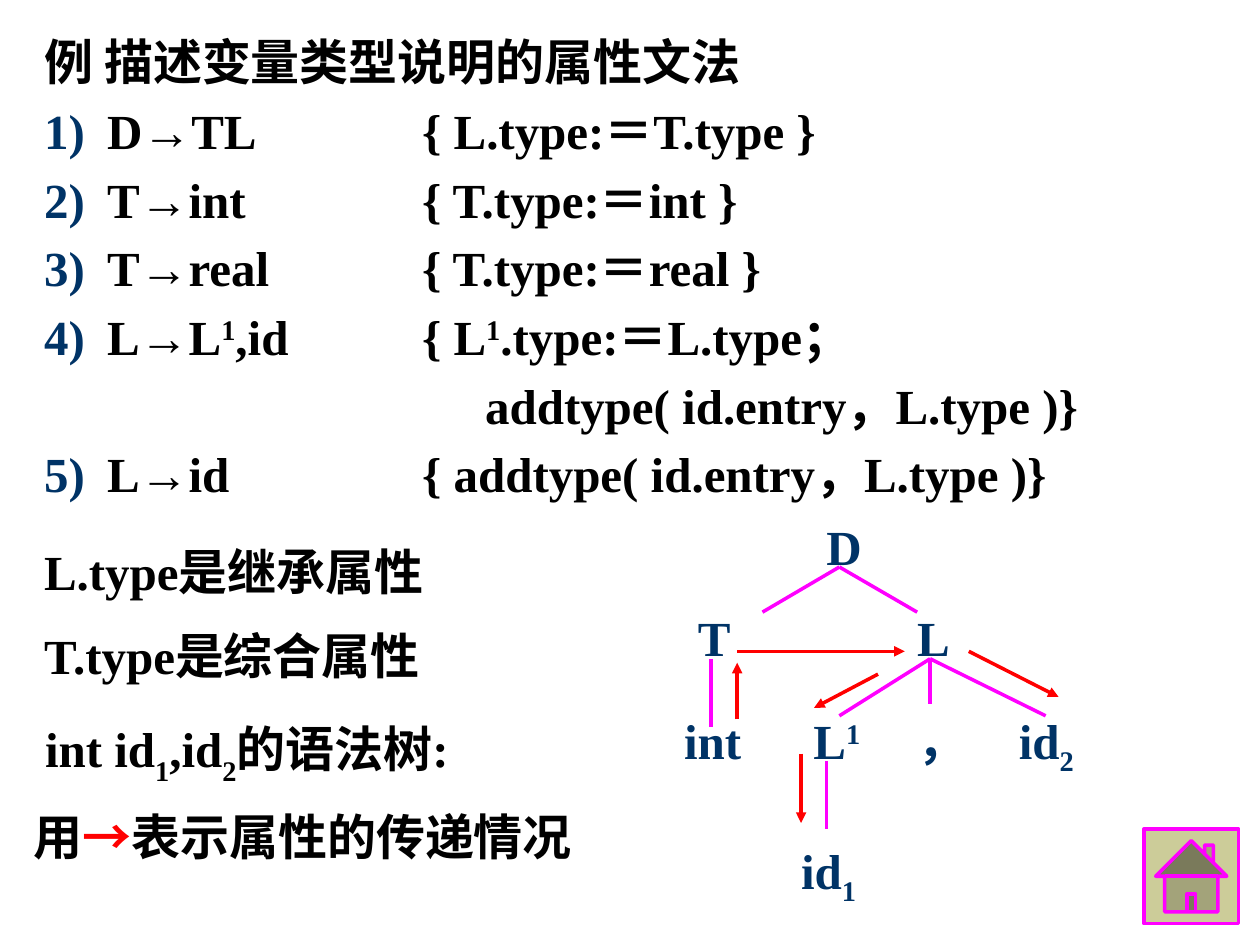
import pptx
import pptx.dml.color
import pptx.enum.shapes
import pptx.enum.text
import pptx.oxml.ns
import pptx.util
from lxml import etree
from pptx.util import Cm

INK = "000000"
NAVY = "003366"
MAGENTA = "FF00FF"
RED = "FF0000"
SAND = "CCCC99"


def colour(code):
    return pptx.dml.color.RGBColor.from_string(code)


def add_element(parent, tag, **attributes):
    return etree.SubElement(parent, pptx.oxml.ns.qn(tag), attributes)


class Board:
    font_name = "Times New Roman"
    font_size = 28
    line_width = 2

    def __init__(self, page):
        self.page = page

    def text_box(self, left, top, width, height, wrap=True):
        box = self.page.shapes.add_textbox(Cm(left), Cm(top), Cm(width), Cm(height))
        box.text_frame.word_wrap = wrap
        box.text_frame.auto_size = pptx.enum.text.MSO_AUTO_SIZE.SHAPE_TO_FIT_TEXT
        return box.text_frame

    def paragraph(self, frame, spans, code=INK, before=0, margin=0, hanging=0,
                  number=None, justify=False):
        para = frame.paragraphs[0]
        if para.runs:
            para = frame.add_paragraph()
            para.space_before = pptx.util.Pt(self.font_size * before)
        if justify:
            para.alignment = pptx.enum.text.PP_ALIGN.JUSTIFY
        properties = para._p.get_or_add_pPr()
        properties.set("marL", str(Cm(margin)))
        properties.set("indent", str(-Cm(hanging)))
        properties.set("defTabSz", str(Cm(2.54)))
        if number:
            add_element(add_element(properties, "a:buClr"), "a:srgbClr", val=NAVY)
            add_element(properties, "a:buAutoNum", type="arabicParenR", startAt=str(number))
        para.font.name = self.font_name
        para.font.size = pptx.util.Pt(self.font_size)
        para.font.bold = True
        para.font.color.rgb = colour(code)
        for text, baseline, span_code in spans:
            span = para.add_run()
            span.text = text
            if baseline:
                span._r.get_or_add_rPr().set("baseline", str(baseline * 1000))
            if span_code:
                span.font.color.rgb = colour(span_code)
        return para

    def line(self, start, end, code, arrow=False):
        line = self.page.shapes.add_connector(
            pptx.enum.shapes.MSO_CONNECTOR.STRAIGHT,
            Cm(start[0]), Cm(start[1]), Cm(end[0]), Cm(end[1]))
        line.line.color.rgb = colour(code)
        line.line.width = pptx.util.Pt(self.line_width)
        if arrow:
            add_element(line.line._get_or_add_ln(), "a:tailEnd", type="triangle")
        add_element(line._element.spPr, "a:effectLst")

    def home_button(self, left, top, side):
        button = self.page.shapes.add_shape(
            pptx.enum.shapes.MSO_SHAPE.ACTION_BUTTON_HOME,
            Cm(left), Cm(top), Cm(side), Cm(side))
        button.shadow.inherit = False
        button.fill.solid()
        button.fill.fore_color.rgb = colour(SAND)
        button.line.color.rgb = colour(MAGENTA)
        button.line.width = pptx.util.Pt(self.line_width)


def plain(text):
    return [(text, 0, None)]


def scripted(*parts):
    return [(text, baseline, None) for text, baseline in parts]


def draw_grammar(board):
    frame = board.text_box(0.64, 0.64, 23.93, 9.88)
    heading = board.paragraph(frame, plain("例 描述变量类型说明的属性文法"),
                              margin=1.27, hanging=1.27)
    heading.line_spacing = 0.9
    rules = [
        (1, plain("D→TL\t\t{ L.type:＝T.type }")),
        (2, plain("T→int\t\t{ T.type:＝int }")),
        (3, plain("T→real\t\t{ T.type:＝real }")),
        (4, scripted(("L→L", 0), ("1", 30), (",id\t\t{ L", 0), ("1", 30),
                     (".type:＝L.type；", 0))),
        (None, plain("addtype( id.entry，L.type )}")),
        (5, plain("L→id\t\t{ addtype( id.entry，L.type )}")),
    ]
    for number, spans in rules:
        margin, hanging = (1.27, 1.27) if number else (8.89, 0)
        board.paragraph(frame, spans, before=0.2, margin=margin, hanging=hanging,
                        number=number, justify=True)


def draw_tree(board):
    nodes = [
        (16.41, 10.29, 1.3, plain("D")),
        (13.82, 12.12, 1.3, plain("T")),
        (18.24, 12.12, 1.3, plain("L")),
        (13.54, 14.2, 2.08, plain("int")),
        (16.15, 14.2, 1.85, scripted(("L", 0), ("1", 30))),
        (18.24, 14.2, 1.3, plain("，")),
        (20.29, 14.2, 2.34, scripted(("id", 0), ("2", -25))),
        (15.9, 16.81, 1.83, scripted(("id", 0), ("1", -25))),
    ]
    for left, top, width, spans in nodes:
        board.paragraph(board.text_box(left, top, width, 1.45), spans, NAVY)

    root, list_node = (16.92, 11.43), (18.75, 13.28)
    branches = [
        (root, (15.37, 12.34)),
        (root, (18.49, 12.34)),
        (list_node, (16.92, 14.43)),
        (list_node, (18.75, 14.2)),
        (list_node, (21.08, 14.43)),
        ((14.33, 13.28), (14.33, 14.66)),
        ((16.66, 15.34), (16.66, 16.71)),
    ]
    for start, end in branches:
        board.line(start, end, MAGENTA)

    flows = [
        ((14.86, 14.5), (14.86, 13.36)),
        ((14.86, 13.13), (18.24, 13.13)),
        ((17.7, 13.59), (16.41, 14.27)),
        ((19.53, 13.13), (21.34, 14.05)),
        ((16.15, 15.19), (16.15, 16.59)),
    ]
    for start, end in flows:
        board.line(start, end, RED, arrow=True)


def draw_remarks(board):
    frame = board.text_box(0.64, 10.8, 12.7, 3.23)
    for remark in ("L.type是继承属性", "T.type是综合属性"):
        board.paragraph(frame, plain(remark), before=0.5)
    board.paragraph(board.text_box(0.66, 14.35, 12.47, 1.45),
                    scripted(("int id", 0), ("1", -30), (",id", 0), ("2", -30),
                             ("的语法树:", 0)))
    board.paragraph(board.text_box(0.43, 16.13, 11.43, 1.45, wrap=False),
                    [("用", 0, None), ("→", 0, RED), ("表示属性的传递情况", 0, None)])


def main():
    deck = pptx.Presentation()
    deck.slide_width, deck.slide_height = Cm(25.4), Cm(19.05)
    board = Board(deck.slides.add_slide(deck.slide_layouts[6]))
    draw_grammar(board)
    draw_tree(board)
    board.home_button(23.06, 16.71, 1.91)
    draw_remarks(board)
    deck.save("out.pptx")


if __name__ == "__main__":
    main()
